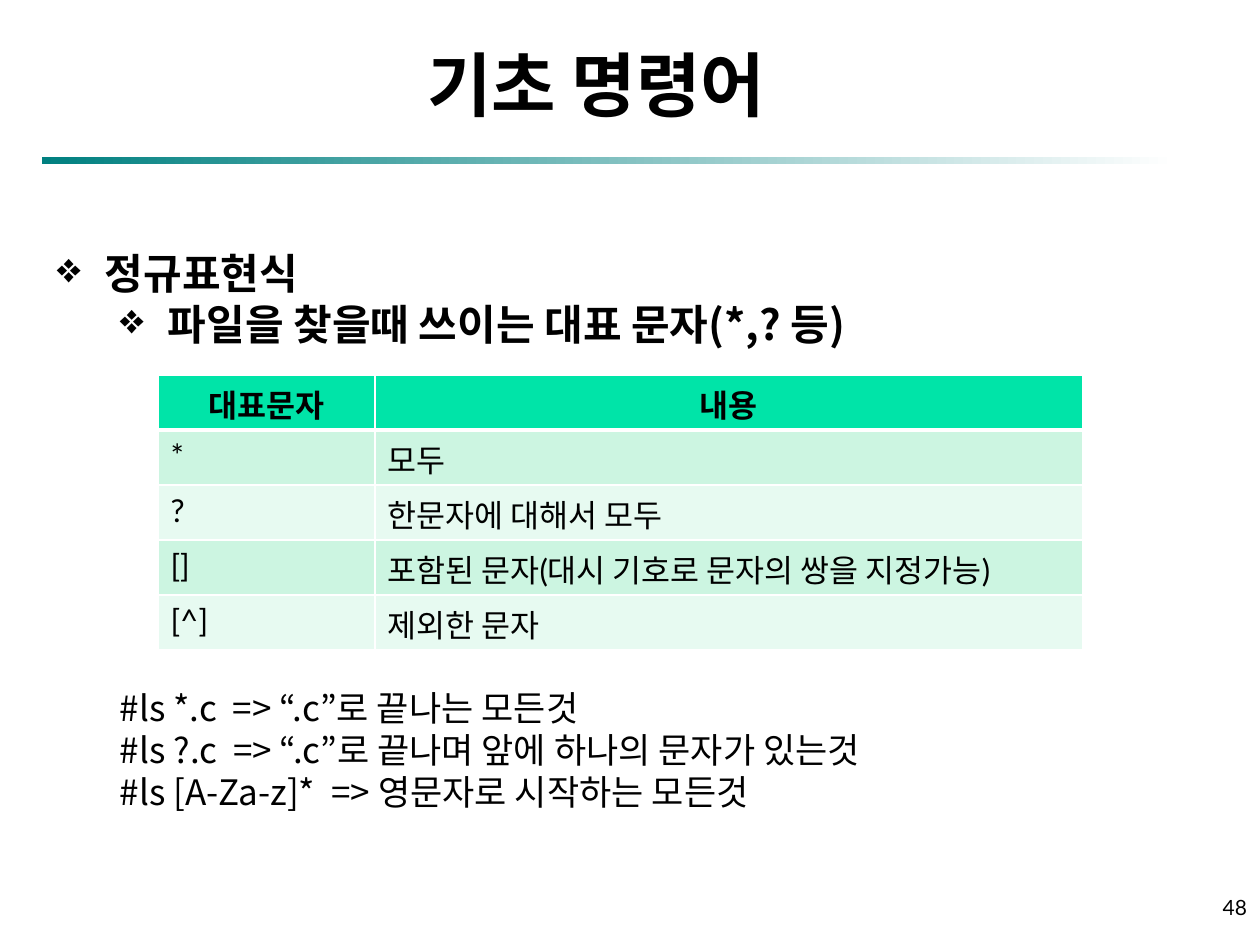
from dataclasses import dataclass

from lxml.etree import SubElement
from pptx import Presentation
from pptx.dml.color import RGBColor
from pptx.enum.shapes import MSO_SHAPE
from pptx.enum.text import MSO_ANCHOR, PP_ALIGN
from pptx.oxml.ns import qn
from pptx.util import Pt

EMU_PER_PX = 914400 / 126


def px(length):
    return round(length * EMU_PER_PX)


@dataclass(frozen=True)
class Theme:
    ink: str = "000000"
    paper: str = "FFFFFF"
    teal: str = "008080"
    header: str = "00E4A8"
    bands: tuple = ("CCF5E1", "E7FAF1")
    title_font: str = "Karla"
    body_font: str = "Noto Sans CJK KR"
    table_font: str = "Lato"
    title_size: int = 40
    bullet_size: int = 24
    command_size: int = 20
    table_size: int = 18
    number_size: int = 12


class SlideBuilder:
    def __init__(self, slide, theme):
        self.slide = slide
        self.theme = theme

    def add_text(self, paragraph, text, font, size, bold=False):
        run = paragraph.add_run()
        run.text = text
        values = {"name": font, "size": Pt(size), "bold": bold}
        for name, value in values.items():
            setattr(run.font, name, value)
        run.font.color.rgb = RGBColor.from_string(self.theme.ink)
        properties = run._r.get_or_add_rPr()
        SubElement(properties, qn("a:ea"), typeface=self.theme.body_font)

    def text_frame(self, left, top, width, height, anchor=MSO_ANCHOR.TOP):
        box = self.slide.shapes.add_textbox(*map(px, (left, top, width, height)))
        frame = box.text_frame
        values = {
            "word_wrap": True,
            "vertical_anchor": anchor,
            "margin_left": px(13),
            "margin_right": px(13),
            "margin_top": px(6),
            "margin_bottom": px(6),
        }
        for name, value in values.items():
            setattr(frame, name, value)
        return frame

    def label(self, box, text, font, size, bold, alignment, anchor):
        paragraph = self.text_frame(*box, anchor).paragraphs[0]
        paragraph.alignment = alignment
        self.add_text(paragraph, text, font, size, bold)

    def outline(self, box, items):
        frame = self.text_frame(*box)
        for index, (text, values, bullet, margin, hanging, size) in enumerate(items):
            paragraph = frame.add_paragraph() if index else frame.paragraphs[0]
            properties = paragraph._p.get_or_add_pPr()
            properties.set("marL", str(px(margin)))
            properties.set("indent", str(-px(hanging)))
            if bullet:
                SubElement(properties, qn("a:buChar"), char=bullet)
            else:
                SubElement(properties, qn("a:buNone"))
            for name, value in values.items():
                setattr(paragraph, name, value)
            self.add_text(paragraph, text, self.theme.body_font, size, bool(bullet))

    def gradient_rule(self, left, top, width, height):
        shape = self.slide.shapes.add_shape(
            MSO_SHAPE.RECTANGLE, *map(px, (left, top, width, height))
        )
        shape.shadow.inherit = False
        shape.line.fill.background()
        shape.fill.gradient()
        shape.fill.gradient_angle = 0
        colors = (self.theme.teal, self.theme.paper)
        for stop, color, position in zip(shape.fill.gradient_stops, colors, (0, 1)):
            stop.color.rgb = RGBColor.from_string(color)
            stop.position = position

    def border(self, cell, widths):
        properties = cell._tc.get_or_add_tcPr()
        for side, width in zip("LRTB", widths):
            line = SubElement(properties, qn(f"a:ln{side}"), w=str(Pt(width)))
            fill = SubElement(line, qn("a:solidFill"))
            SubElement(fill, qn("a:srgbClr"), val=self.theme.paper)

    def table(self, left, top, column_widths, row_height, rows):
        table = self.slide.shapes.add_table(
            len(rows), len(column_widths), px(left), px(top),
            px(sum(column_widths)), px(row_height * len(rows)),
        ).table
        for column, width in zip(table.columns, column_widths):
            column.width = px(width)
        for row_index, texts in enumerate(rows):
            table.rows[row_index].height = px(row_height)
            is_header = row_index == 0
            color = self.theme.header if is_header else self.theme.bands[(row_index - 1) % 2]
            widths = (1, 1, 3 if row_index == 1 else 1, 3 if is_header else 1)
            for column_index, text in enumerate(texts):
                cell = table.cell(row_index, column_index)
                self.border(cell, widths)
                cell.fill.solid()
                cell.fill.fore_color.rgb = RGBColor.from_string(color)
                paragraph = cell.text_frame.paragraphs[0]
                paragraph.alignment = PP_ALIGN.CENTER if is_header else PP_ALIGN.LEFT
                self.add_text(
                    paragraph, text, self.theme.table_font, self.theme.table_size, is_header
                )


def main():
    presentation = Presentation()
    presentation.slide_width, presentation.slide_height = px(1260), px(945)
    slide = presentation.slides.add_slide(presentation.slide_layouts[6])
    theme = Theme()
    builder = SlideBuilder(slide, theme)

    builder.gradient_rule(42, 157, 1134, 7)

    bullet_spacing = {"line_spacing": Pt(29)}
    command_spacing = {"line_spacing": Pt(24)}
    below_table = {**command_spacing, "space_before": Pt(193)}
    command_layout = (None, 102, 39, theme.command_size)
    builder.outline(
        (44, 241, 1169, 576),
        [
            ("정규표현식", bullet_spacing, "❖", 48, 48, theme.bullet_size),
            ("파일을 찾을때 쓰이는 대표 문자(*,? 등)", bullet_spacing, "❖", 111, 48,
             theme.bullet_size),
            ("#ls *.c  => “.c”로 끝나는 모든것", below_table, *command_layout),
            ("#ls ?.c  => “.c”로 끝나며 앞에 하나의 문자가 있는것", command_spacing,
             *command_layout),
            ("#ls [A-Za-z]*  => 영문자로 시작하는 모든것", command_spacing, *command_layout),
        ],
    )
    builder.table(
        158, 375, (217, 708), 55,
        [
            ("대표문자", "내용"),
            ("*", "모두"),
            ("?", "한문자에 대해서 모두"),
            ("[]", "포함된 문자(대시 기호로 문자의 쌍을 지정가능)"),
            ("[^]", "제외한 문자"),
        ],
    )
    builder.label(
        (25, 35, 1142, 97), "기초 명령어", theme.title_font, theme.title_size, True,
        PP_ALIGN.CENTER, MSO_ANCHOR.MIDDLE,
    )
    builder.label(
        (966, 876, 294, 50), "48", theme.table_font, theme.number_size, False,
        PP_ALIGN.RIGHT, MSO_ANCHOR.BOTTOM,
    )
    presentation.save("out.pptx")


if __name__ == "__main__":
    main()
